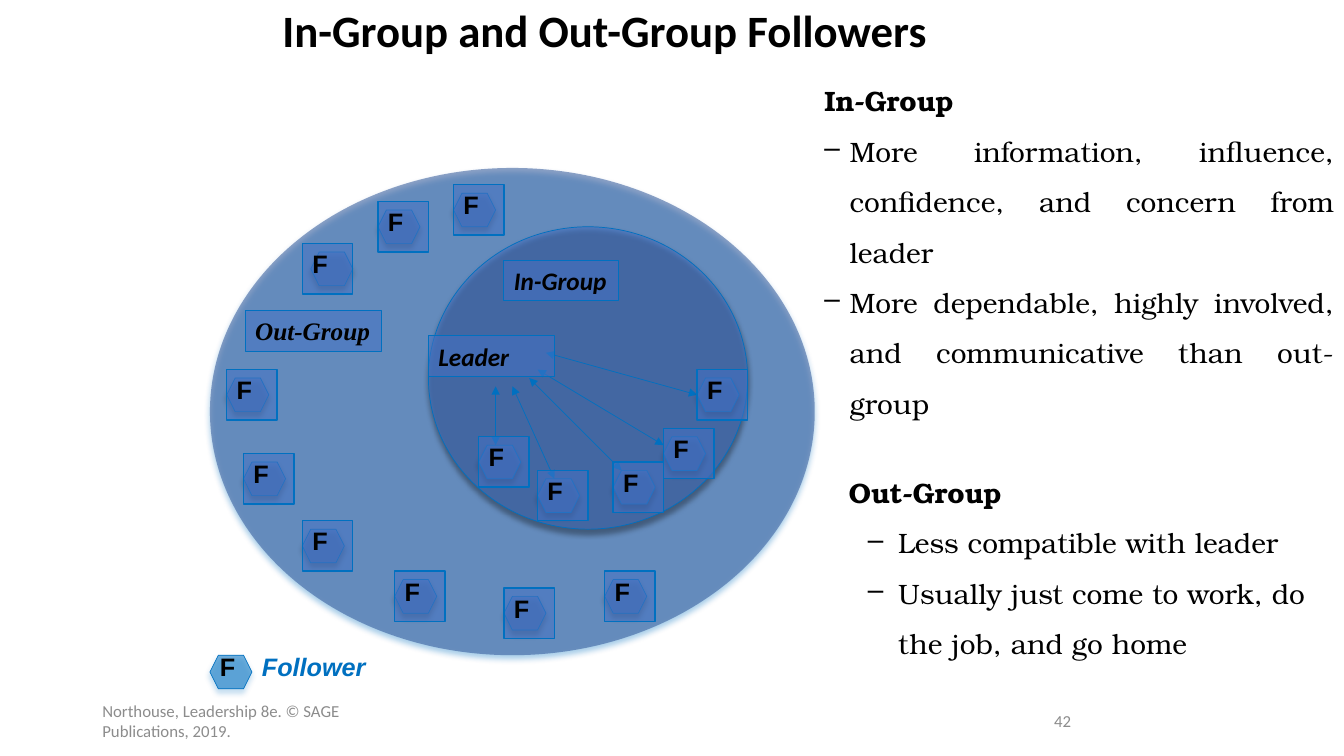
from lxml import etree
from pptx import Presentation
from pptx.dml.color import RGBColor
from pptx.enum.shapes import MSO_CONNECTOR, MSO_SHAPE
from pptx.enum.text import MSO_ANCHOR, PP_ALIGN
from pptx.oxml.ns import qn
from pptx.util import Inches, Pt

LINE = MSO_CONNECTOR.STRAIGHT
OVAL, RECT, HEXAGON = MSO_SHAPE.OVAL, MSO_SHAPE.RECTANGLE, MSO_SHAPE.FLOWCHART_PREPARATION
LEFT, CENTER, JUSTIFY = PP_ALIGN.LEFT, PP_ALIGN.CENTER, PP_ALIGN.JUSTIFY
TOP, MIDDLE = MSO_ANCHOR.TOP, MSO_ANCHOR.MIDDLE

COLS, ROWS = 160, 90
WIDTH, HEIGHT = Inches(13.33), Inches(7.5)
BLACK, GRAY, BLUE, NAVY, ROYAL = "000000", "8C8C8C", "0070C0", "2F5597", "4472C4"
SERIF = "TeX Gyre Bonum"

IN_FOLLOWERS = [(83, 44), (79, 51), (73, 55), (64, 56), (57, 52)]
OUT_FOLLOWERS = [(54, 22), (45, 24), (36, 29), (27, 44), (29, 54),
                 (36, 62), (47, 68), (60, 70), (72, 68)]
ARROWS = [(64, 44, 79, 53), (63, 45, 74, 56), (61, 46, 66, 57),
          (59, 46, 59, 53), (65, 42, 83, 47)]
IN_POINTS = ["More information, influence, confidence, and concern from leader",
             "More dependable, highly involved, and communicative than out-group"]
OUT_POINTS = ["Less compatible with leader",
              "Usually just come to work, do the job, and go home"]


def color(value):
    return RGBColor.from_string(value)


def grid(x, y):
    return int(WIDTH * x / COLS), int(HEIGHT * y / ROWS)


def add(parent, tag, **attrs):
    return etree.SubElement(parent, qn(tag), {k: str(v) for k, v in attrs.items()})


def set_font(p, size, name, hue=BLACK, bold=False, italic=False):
    p.font.size, p.font.name = Pt(size), name
    p.font.bold, p.font.italic = bold, italic
    p.font.color.rgb = color(hue)


def write(s, text, size, name, hue=BLACK, bold=True, italic=False,
          align=LEFT, anchor=TOP, wrap=True):
    tf = s.text_frame
    tf.word_wrap, tf.vertical_anchor = wrap, anchor
    p = tf.paragraphs[0]
    p.text, p.alignment = text, align
    set_font(p, size, name, hue, bold, italic)
    return p


def add_text(sp, box, text, *args, **kwargs):
    s = sp.add_textbox(*grid(*box[:2]), *grid(*box[2:]))
    return write(s, text, *args, **kwargs)


def add_shadow(s, hue, alpha):
    effects = s._element.spPr.find(qn("a:effectLst"))
    shadow = add(effects, "a:outerShdw", blurRad=Pt(4), dist=Pt(3),
                 dir=5400000, algn="ctr", rotWithShape=0)
    add(add(shadow, "a:srgbClr", val=hue), "a:alpha", val=alpha * 1000)


def add_panel(sp, kind, box, fill=ROYAL, line=0.5, shadow=None):
    s = sp.add_shape(kind, *grid(*box[:2]), *grid(*box[2:]))
    s.shadow.inherit = False
    s.fill.solid()
    s.fill.fore_color.rgb = color(fill)
    add(s._element.spPr.find(".//" + qn("a:srgbClr")), "a:alpha", val=54000)
    if line:
        s.line.color.rgb = color(BLUE)
        s.line.width = Pt(line)
    else:
        s.line.fill.background()
    if shadow:
        add_shadow(s, *shadow)
    return s


def add_arrow(sp, x1, y1, x2, y2):
    s = sp.add_connector(LINE, *grid(x1, y1), *grid(x2, y2))
    s.line.color.rgb = color(BLUE)
    s.line.width = Pt(0.5)
    ln = s.line._get_or_add_ln()
    add(ln, "a:headEnd", type="triangle")
    add(ln, "a:tailEnd", type="triangle")
    add(s._element.spPr, "a:effectLst")
    return s


def add_label(sp, box, text, name, line):
    s = add_panel(sp, RECT, box, line=line)
    write(s, text, 18, name, italic=True, wrap=False)


def add_follower(sp, x, y):
    inset = 1 if (x, y) == (36, 29) else 0
    add_panel(sp, HEXAGON, (x + inset, y + 1, 5, 4), shadow=(BLACK, 40))
    s = add_panel(sp, RECT, (x, y, 6, 6), line=1)
    write(s, "F", 18, "Arial")
    return s


def add_points(sp, box, heading, points, align, level, margin, hang):
    s = sp.add_textbox(*grid(*box[:2]), *grid(*box[2:]))
    tf = s.text_frame
    tf.word_wrap = True
    for i, text in enumerate([heading] + points):
        p = tf.add_paragraph() if i else tf.paragraphs[0]
        p.text, p.alignment, p.line_spacing = text, align, 1.5
        p.level = level if i else 0
        pPr = p._p.get_or_add_pPr()
        pPr.set("marL", str(Inches(margin if i else 0.13)))
        pPr.set("indent", str(Inches(-hang if i else 0)))
        if i:
            add(pPr, "a:buChar", char="–")
        set_font(p, 20, SERIF, bold=not i)


def add_groups(sp):
    add_panel(sp, OVAL, (25, 20, 72, 58), NAVY, 0, (BLUE, 65))
    add_panel(sp, OVAL, (51, 27, 38, 36), shadow=(BLACK, 61))
    arrows = [add_arrow(sp, *ends) for ends in ARROWS]
    add_label(sp, (29.2, 37, 16.2, 4.8), "Out-Group", "Times New Roman", 0.5)
    add_label(sp, (51, 40, 15, 4.8), "Leader", "Calibri", 0.75)
    add_label(sp, (60, 31, 13.6, 4.8), "In-Group", "Calibri", 0.75)
    followers = [add_follower(sp, x, y) for x, y in IN_FOLLOWERS + OUT_FOLLOWERS]
    arrows[-1].end_connect(followers[0], 1)


def add_legend(sp):
    add_panel(sp, HEXAGON, (25, 78, 5, 4), BLUE, shadow=(BLUE, 40))
    add_text(sp, (25, 77, 6, 6), "F", 18, "Arial")
    add_text(sp, (30, 77, 14.9, 4.8), "Follower", 18, "Arial", BLUE, italic=True, wrap=False)


def main():
    prs = Presentation()
    prs.slide_width, prs.slide_height = WIDTH, HEIGHT
    sp = prs.slides.add_slide(prs.slide_layouts[6]).shapes
    title = add_text(sp, (3, 0.4, 138, 7), "In-Group and Out-Group Followers",
                     32, "Calibri", align=CENTER, anchor=MIDDLE)
    title.line_spacing = 0.9
    add_groups(sp)
    add_legend(sp)
    add_points(sp, (95.4, 7.4, 64.6, 43), "In-Group", IN_POINTS, JUSTIFY, 1, 0.38, 0.25)
    add_points(sp, (98.3, 54, 59.2, 24.7), "Out-Group", OUT_POINTS, LEFT, 2, 0.62, 0.3)
    add_text(sp, (11, 83.4, 36, 4.8), "Northouse, Leadership 8e. © SAGE Publications, 2019.",
             12, "Calibri", GRAY, bold=False, anchor=MIDDLE)
    add_text(sp, (113, 83.4, 27, 4.8), "42", 12, "Calibri", GRAY,
             bold=False, align=CENTER, anchor=MIDDLE)
    prs.save("out.pptx")


if __name__ == "__main__":
    main()
